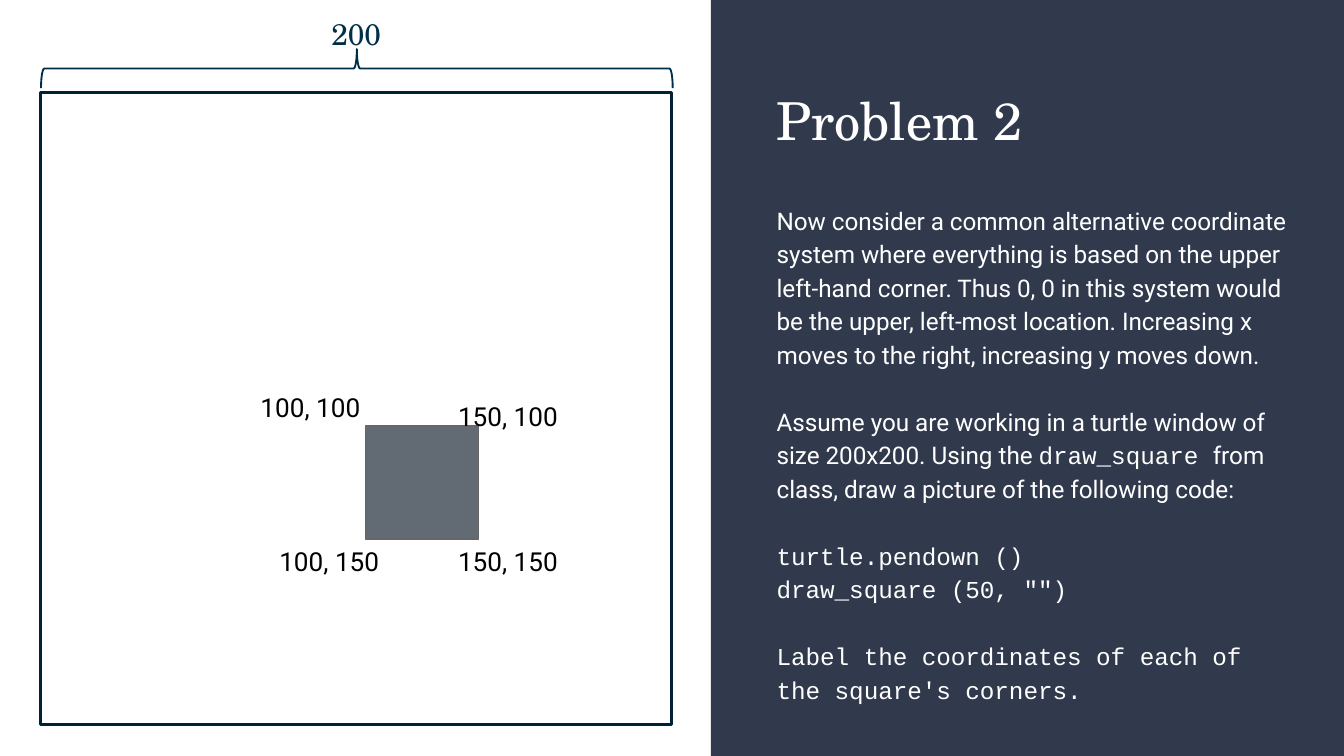
"""Build the Problem 2 slide: a square in a 200 by 200 turtle window."""
import pptx
import pptx.dml.color
import pptx.enum.shapes
import pptx.enum.text
import pptx.util

Inches, Pt = pptx.util.Inches, pptx.util.Pt
RGB = pptx.dml.color.RGBColor.from_string
SHAPE = pptx.enum.shapes.MSO_SHAPE
ALIGN = pptx.enum.text.PP_ALIGN
ANCHOR = pptx.enum.text.MSO_ANCHOR

THEME = {
    "panel": RGB("31394D"), "window": RGB("002236"), "brace": RGB("002D49"),
    "square": RGB("626B73"), "square_line": RGB("666666"),
    "title": {"name": "TeX Gyre Schola", "size": Pt(28), "color": RGB("FFFFFF")},
    "body": {"name": "Roboto", "size": Pt(13), "color": RGB("FFFFFF")},
    "code": {"name": "Courier New", "size": Pt(13), "color": RGB("FFFFFF")},
    "size": {"name": "TeX Gyre Schola", "size": Pt(16), "color": RGB("002F4A")},
    "label": {"name": "Roboto", "size": Pt(14), "color": RGB("000000")},
}


def add_shape(kind, box, fill=None, line=None, width=1):
    sp = s.shapes.add_shape(kind, *map(Inches, box))
    sp.shadow.inherit = False
    for part, color in ((sp.fill, fill), (sp.line.fill, line)):
        if color is None:
            part.background()
        else:
            part.solid()
            part.fore_color.rgb = color
    if line is not None:
        sp.line.width = Pt(width)
    return sp


def add_text(box, paragraphs, inset=0.1, anchor=ANCHOR.TOP, **fmt):
    tf = s.shapes.add_textbox(*map(Inches, box)).text_frame
    frame = {"word_wrap": True, "vertical_anchor": anchor,
             "margin_top": Inches(inset), "margin_bottom": Inches(inset)}
    for key, value in frame.items():
        setattr(tf, key, value)
    for i, (before, runs) in enumerate(paragraphs):
        p = tf.add_paragraph() if i else tf.paragraphs[0]
        for key, value in {"space_before": Pt(before), **fmt}.items():
            setattr(p, key, value)
        for text, style in runs:
            r = p.add_run()
            r.text = text
            for key, value in THEME[style].items():
                if key == "color":
                    r.font.color.rgb = value
                else:
                    setattr(r.font, key, value)


prs = pptx.Presentation()
prs.slide_width = Inches(10)
prs.slide_height = prs.slide_width * 9 // 16
s = prs.slides.add_slide(prs.slide_layouts[6])

sp = add_shape(SHAPE.RECTANGLE, (5.29, 0, 4.71, 5.62), THEME["panel"])
sp.height = prs.slide_height
add_text((5.68, 0.54, 4.05, 0.7), [(0, [("Problem 2", "title")])], anchor=ANCHOR.MIDDLE)
gap = 18
add_text((5.68, 1.4, 4.05, 4.08), [
    (0, [("Now consider a common alternative coordinate system where everything is "
          "based on the upper left-hand corner. Thus 0, 0 in this system would be the "
          "upper, left-most location. Increasing x moves to the right, increasing y "
          "moves down.", "body")]),
    (gap, [("Assume you are working in a turtle window of size 200x200. Using the ", "body"),
           ("draw_square ", "code"),
           ("from class, draw a picture of the following code:", "body")]),
    (gap, [("turtle.pendown ()", "code")]),
    (0, [('draw_square (50, "")', "code")]),
    (gap, [("Label the coordinates of each of the square's corners.", "code")]),
], line_spacing=1.15)

add_shape(SHAPE.RECTANGLE, (0.3, 0.69, 4.7, 4.7), line=THEME["window"], width=1.5)
sp = add_shape(SHAPE.LEFT_BRACE, (2.51, -1.84, 0.29, 4.7), line=THEME["brace"])
sp.rotation = 90
sp.adjustments[0] = 0.083
add_text((2.31, 0.07, 0.68, 0.37), [(0, [("200", "size")])], inset=0.05,
         alignment=ALIGN.CENTER)

add_shape(SHAPE.RECTANGLE, (2.72, 3.17, 0.84, 0.84), THEME["square"],
          THEME["square_line"], 0.75)
corners = {"100, 100": (1.84, 2.81), "150, 100": (3.31, 2.88),
           "150, 150": (3.31, 3.96), "100, 150": (1.98, 3.96)}
for text, (x, y) in corners.items():
    add_text((x, y, 1.03, 0.33), [(0, [(text, "label")])])

prs.save("out.pptx")
